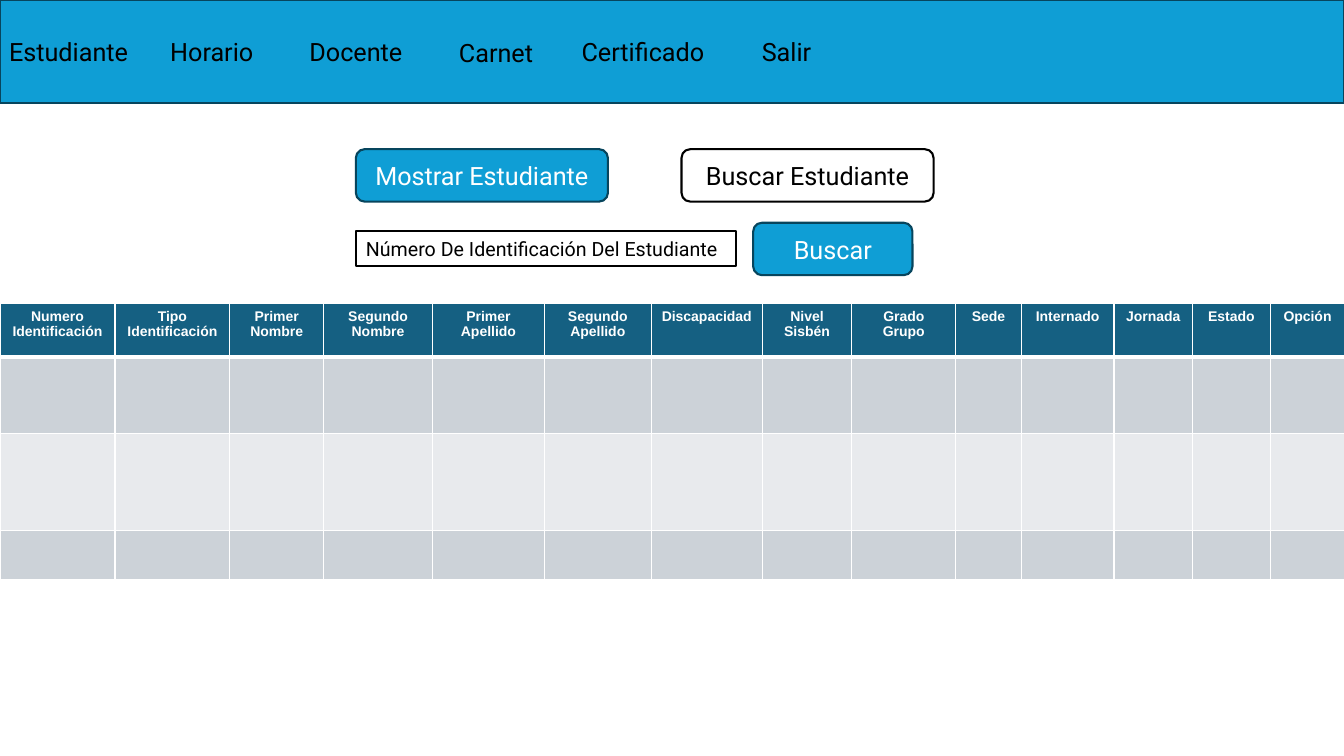
from pptx import Presentation
from pptx.dml.color import RGBColor
from pptx.enum.shapes import MSO_SHAPE
from pptx.enum.text import MSO_ANCHOR, PP_ALIGN
from pptx.oxml.ns import qn
from pptx.util import Inches, Pt
from lxml import etree

RECT = MSO_SHAPE.RECTANGLE
ROUND = MSO_SHAPE.ROUNDED_RECTANGLE
MIDDLE = MSO_ANCHOR.MIDDLE
LEFT, CENTER = PP_ALIGN.LEFT, PP_ALIGN.CENTER

HUES = {
    "blue": "0F9ED5", "edge": "07455D", "head": "156082",
    "dark": "CCD2D8", "pale": "E8EAED", "white": "FFFFFF", "black": "000000",
}
MENU = [
    ("Estudiante", -0.03, 0.31, CENTER), ("Horario", 1.39, 0.31, CENTER),
    ("Docente", 2.82, 0.31, CENTER), ("Carnet", 4.21, 0.32, CENTER),
    ("Certificado", 5.67, 0.31, LEFT), ("Salir", 7.09, 0.31, CENTER),
]
COLS = [
    ("Numero Identificación", 1.14), ("Tipo Identificación", 1.14),
    ("Primer Nombre", 0.93), ("Segundo Nombre", 1.08),
    ("Primer Apellido", 1.11), ("Segundo Apellido", 1.06),
    ("Discapacidad", 1.1), ("Nivel Sisbén", 0.89), ("Grado Grupo", 1.03),
    ("Sede", 0.65), ("Internado", 0.92), ("Jornada", 0.78),
    ("Estado", 0.77), ("Opción", 0.74),
]
ROWS = [(0.53, "head"), (0.76, "dark"), (0.96, "pale"), (0.49, "dark")]


def color(name):
    """Return the named colour."""
    return RGBColor.from_string(HUES[name])


def write(frame, text, size, hue, align=CENTER, face="Roboto", bold=False):
    """Fill a text frame with one formatted paragraph."""
    frame.word_wrap = True
    frame.text = text
    para = frame.paragraphs[0]
    para.alignment = align
    font = para.runs[0].font
    font.size, font.name, font.bold = Pt(size), face, bold
    font.color.rgb = color(hue)


def panel(shapes, kind, box, fill, line):
    """Add a filled and outlined shape."""
    shape = shapes.add_shape(kind, *map(Inches, box))
    shape.shadow.inherit = False
    shape.fill.solid()
    shape.fill.fore_color.rgb = color(fill)
    shape.line.color.rgb = color(line)
    shape.line.width = Pt(1.5)
    return shape


def field(shapes, kind, box, text, solid=False, size=18, align=CENTER):
    """Add a labelled button or input box."""
    fill, line, ink = ("blue", "edge", "white") if solid else ("white", "black", "black")
    frame = panel(shapes, kind, box, fill, line).text_frame
    frame.vertical_anchor = MIDDLE
    write(frame, text, size, ink, align)


def draw_menu(slide, x, y, wide, high):
    """Draw the navigation bar and its entries."""
    group = slide.shapes.add_group_shape().shapes
    panel(group, RECT, (x, y, wide, high), "blue", "edge")
    for text, dx, dy, align in MENU:
        box = (x + dx, y + dy, 1.42, 0.4)
        label = group.add_textbox(*map(Inches, box))
        write(label.text_frame, text, 18, "black", align)


def draw_search(slide, x, y):
    """Draw the search buttons and the number field."""
    shapes = slide.shapes
    field(shapes, ROUND, (x, y, 2.5, 0.52), "Mostrar Estudiante", True)
    field(shapes, ROUND, (x + 3.23, y, 2.5, 0.52), "Buscar Estudiante")
    field(shapes, RECT, (x, y + 0.81, 3.77, 0.35),
          "Número De Identificación Del Estudiante", size=14, align=LEFT)
    field(shapes, ROUND, (x + 3.94, y + 0.73, 1.58, 0.52), "Buscar", True)


def border(cell, row):
    """Draw white cell borders, thick under the header."""
    props = cell._tc.get_or_add_tcPr()
    for side in "LRTB":
        thick = (row, side) in ((0, "B"), (1, "T"))
        line = etree.SubElement(props, qn("a:ln" + side), w=str(Pt(3 if thick else 1)))
        fill = etree.SubElement(line, qn("a:solidFill"))
        etree.SubElement(fill, qn("a:srgbClr"), val=HUES["white"])


def draw_table(slide, x, y, wide, high):
    """Draw the student table with its header."""
    box = map(Inches, (x, y, wide, high))
    table = slide.shapes.add_table(len(ROWS), len(COLS), *box).table
    for col, (_, width) in zip(table.columns, COLS):
        col.width = Inches(width)
    for r, (height, hue) in enumerate(ROWS):
        table.rows[r].height = Inches(height)
        for c, (title, _) in enumerate(COLS):
            cell = table.cell(r, c)
            border(cell, r)
            cell.fill.solid()
            cell.fill.fore_color.rgb = color(hue)
            cell.margin_left = cell.margin_right = Inches(0.09)
            if r == 0:
                write(cell.text_frame, title, 10, "white", face="Arial", bold=True)


def main():
    """Build and save the slide."""
    deck = Presentation()
    deck.slide_width, deck.slide_height = Inches(13.33), Inches(7.5)
    slide = deck.slides.add_slide(deck.slide_layouts[6])
    draw_search(slide, 3.53, 1.48)
    draw_table(slide, 0, 3.01, 13.33, 2.74)
    draw_menu(slide, 0, 0, 13.33, 1.02)
    deck.save("out.pptx")


if __name__ == "__main__":
    main()
